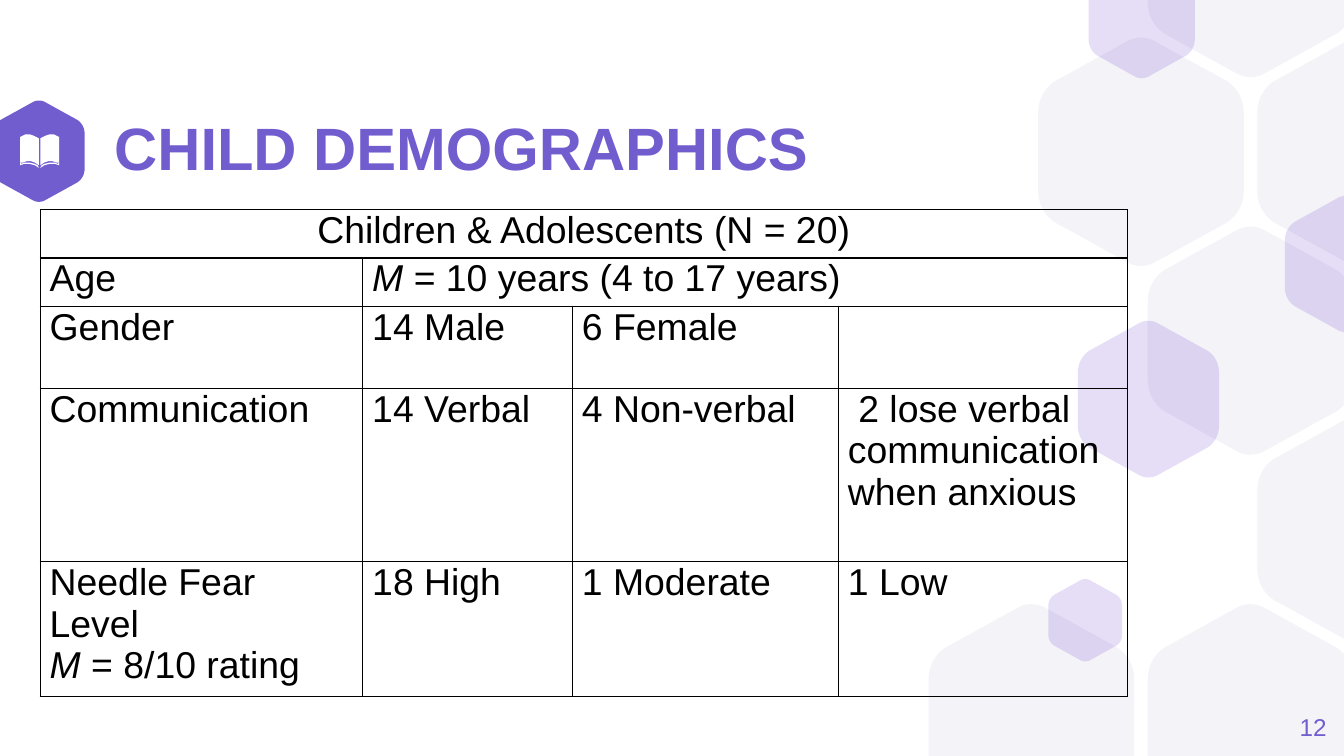
from lxml import etree
from pptx import Presentation
from pptx.dml.color import RGBColor
from pptx.enum.text import MSO_ANCHOR, PP_ALIGN
from pptx.oxml.ns import qn
from pptx.util import Inches, Pt

MIDDLE = MSO_ANCHOR.MIDDLE
LEFT, CENTER, RIGHT = PP_ALIGN.LEFT, PP_ALIGN.CENTER, PP_ALIGN.RIGHT
FONT = "Arial"
COLORS = {"accent": "725DCF", "pale": "F4F3F8", "violet": "5322C9",
          "white": "FFFFFF", "black": "000000"}
SLIDE_WIDTH = 10
SLIDE_HEIGHT = SLIDE_WIDTH * 9 / 16

SIDE_CORNER = [(1, 0.33), (1, 0.27), (0.97, 0.22), (0.92, 0.19)]
TOP_CORNER = [(0.58, 0.02), (0.53, -0.01), (0.47, -0.01), (0.42, 0.02)]
LARGE_GRID = [(2, 0), (1, 1), (3, 1), (2, 2), (3, 3), (0, 4), (2, 4)]
LARGE_LEFT, LARGE_TOP = 6.91, -1.12
LARGE_STEP_X, LARGE_STEP_Y = 1.63 / 2, 2.81 / 2
SMALL_HEXAGONS = [(9.56, 1.46, 0.91, 1.01), (7.8, 4.31, 0.55, 0.61),
                  (8.1, -0.3, 0.79, 0.88), (8.02, 2.39, 1.05, 1.16)]

BOOK_WIDTH_SUM = 0.59
PAGE = [(0.22, 1), (0.19, 1), (0.17, 1.01), (0.15, 1.02), (0.15, 1.21),
        (0.17, 1.21), (0.2, 1.2), (0.23, 1.2), (0.26, 1.21), (0.29, 1.23),
        (0.29, 1.03), (0.27, 1.02), (0.25, 1.01)]
PAGE_EDGE = [(0.15, 1.21), (0.15, 1.23), (0.18, 1.22), (0.22, 1.22),
             (0.26, 1.23), (0.29, 1.25), (0.28, 1.23), (0.26, 1.22),
             (0.22, 1.21), (0.18, 1.21), (0.16, 1.22)]

TABLE_BOX = (0.3, 1.56, 8.09, 3.61)
COLUMN_WIDTHS = [2.4, 1.56, 1.98, 2.15]
ROW_HEIGHTS = [0.36, 0.36, 0.61, 1.29, 0.95]
ROWS = [
    ["Children & Adolescents (N = 20)"],
    ["Age", "M = 10 years (4 to 17 years)"],
    ["Gender", "14 Male", "6 Female", ""],
    ["Communication", "14 Verbal", "4 Non-verbal",
     " 2 lose verbal communication when anxious"],
    ["Needle Fear Level\nM = 8/10 rating", "18 High", "1 Moderate", "1 Low"],
]


def rgb(name):
    return RGBColor.from_string(COLORS[name])


def bezier(points, t):
    weights = [(1 - t) ** 3, 3 * t * (1 - t) ** 2, 3 * t * t * (1 - t), t ** 3]
    return tuple(sum(w * point[axis] for w, point in zip(weights, points))
                 for axis in (0, 1))


def hexagon_outline():
    quarter = [bezier(SIDE_CORNER, step / 8) for step in range(9)]
    quarter += [bezier(TOP_CORNER, step / 8) for step in range(5)]
    top = quarter + [(1 - x, y) for x, y in reversed(quarter)]
    return top + [(x, 1 - y) for x, y in reversed(top)]


def add_outline(slide, points, color, alpha=None):
    corners = [(Inches(x), Inches(y)) for x, y in points]
    builder = slide.shapes.build_freeform(*corners[0])
    builder.add_line_segments(corners[1:], close=True)
    shape = builder.convert_to_shape()
    shape.shadow.inherit = False
    shape.fill.solid()
    shape.fill.fore_color.rgb = rgb(color)
    shape.line.fill.background()
    if alpha is not None:
        fill_color = shape.element.spPr.find(qn("a:solidFill"))[0]
        etree.SubElement(fill_color, qn("a:alpha"), val=str(alpha * 1000))


def add_hexagon(slide, left, top, width, height, color, alpha=None):
    points = [(left + x * width, min(max(top + y * height, 0), SLIDE_HEIGHT))
              for x, y in hexagon_outline()]
    add_outline(slide, points, color, alpha)


def add_background(slide):
    for column, row in LARGE_GRID:
        add_hexagon(slide, LARGE_LEFT + LARGE_STEP_X * column,
                    LARGE_TOP + LARGE_STEP_Y * row, 1.53, 1.69, "pale")
    for box in SMALL_HEXAGONS:
        add_hexagon(slide, *box, "violet", 15)


def add_book_badge(slide):
    add_hexagon(slide, -0.05, 0.75, 0.68, 0.75, "accent")
    for points in (PAGE_EDGE, PAGE):
        add_outline(slide, points, "white")
        add_outline(slide, [(BOOK_WIDTH_SUM - x, y) for x, y in points], "white")


def style_run(run, size, color, bold=False, italic=False):
    run.font.name = FONT
    run.font.size = Pt(size)
    run.font.color.rgb = rgb(color)
    run.font.bold = bold
    run.font.italic = italic


def set_label(shape, box, text, size, alignment, bold=False):
    shape.left, shape.top, shape.width, shape.height = map(Inches, box)
    frame = shape.text_frame
    frame.text = text
    frame.word_wrap = True
    frame.vertical_anchor = MIDDLE
    frame.margin_left = frame.margin_right = 0
    frame.margin_top = frame.margin_bottom = 0
    paragraph = frame.paragraphs[0]
    paragraph.alignment = alignment
    style_run(paragraph.runs[0], size, "accent", bold)
    return paragraph


def set_borders(cell):
    properties = cell._tc.get_or_add_tcPr()
    for side in ("lnL", "lnR", "lnT", "lnB"):
        line = etree.SubElement(properties, qn(f"a:{side}"), w=str(Pt(0.75)))
        fill = etree.SubElement(line, qn("a:solidFill"))
        etree.SubElement(fill, qn("a:srgbClr"), val=COLORS["black"])


def fill_cell(cell, text, alignment):
    cell.text_frame.text = text
    for paragraph in cell.text_frame.paragraphs:
        paragraph.alignment = alignment
        if paragraph.text.startswith("M ="):
            rest = paragraph.text[1:]
            paragraph.runs[0].text = "M"
            paragraph.add_run().text = rest
        for run in paragraph.runs:
            style_run(run, 20, "black", italic=run.text == "M")


def add_demographics_table(slide):
    frame = slide.shapes.add_table(
        len(ROW_HEIGHTS), len(COLUMN_WIDTHS), *map(Inches, TABLE_BOX))
    table = frame.table
    table.first_row = table.horz_banding = False
    for column, width in zip(table.columns, COLUMN_WIDTHS):
        column.width = Inches(width)
    for row, height in zip(table.rows, ROW_HEIGHTS):
        row.height = Inches(height)
    frame.height = Inches(TABLE_BOX[3])
    for cell in table.iter_cells():
        cell.margin_left = cell.margin_right = Inches(0.07)
        cell.margin_top = cell.margin_bottom = 0
        set_borders(cell)
        cell.fill.background()
    last_column = len(COLUMN_WIDTHS) - 1
    for row_index, texts in enumerate(ROWS):
        if len(texts) <= last_column:
            table.cell(row_index, len(texts) - 1).merge(
                table.cell(row_index, last_column))
        alignment = CENTER if len(texts) == 1 else LEFT
        for column_index, text in enumerate(texts):
            fill_cell(table.cell(row_index, column_index), text, alignment)


def main():
    presentation = Presentation()
    presentation.slide_width = Inches(SLIDE_WIDTH)
    presentation.slide_height = Inches(SLIDE_HEIGHT)
    slide = presentation.slides.add_slide(presentation.slide_layouts[5])
    add_background(slide)
    add_book_badge(slide)
    title = set_label(slide.shapes.title, (0.85, 0.91, 6.57, 0.43),
                      "CHILD DEMOGRAPHICS", 32, LEFT, bold=True)
    title.line_spacing = 0.9
    page_number = slide.shapes.add_textbox(0, 0, 0, 0)
    set_label(page_number, (9.27, 5.19, 0.6, 0.43), "12", 13, RIGHT)
    add_demographics_table(slide)
    presentation.save("out.pptx")


if __name__ == "__main__":
    main()
